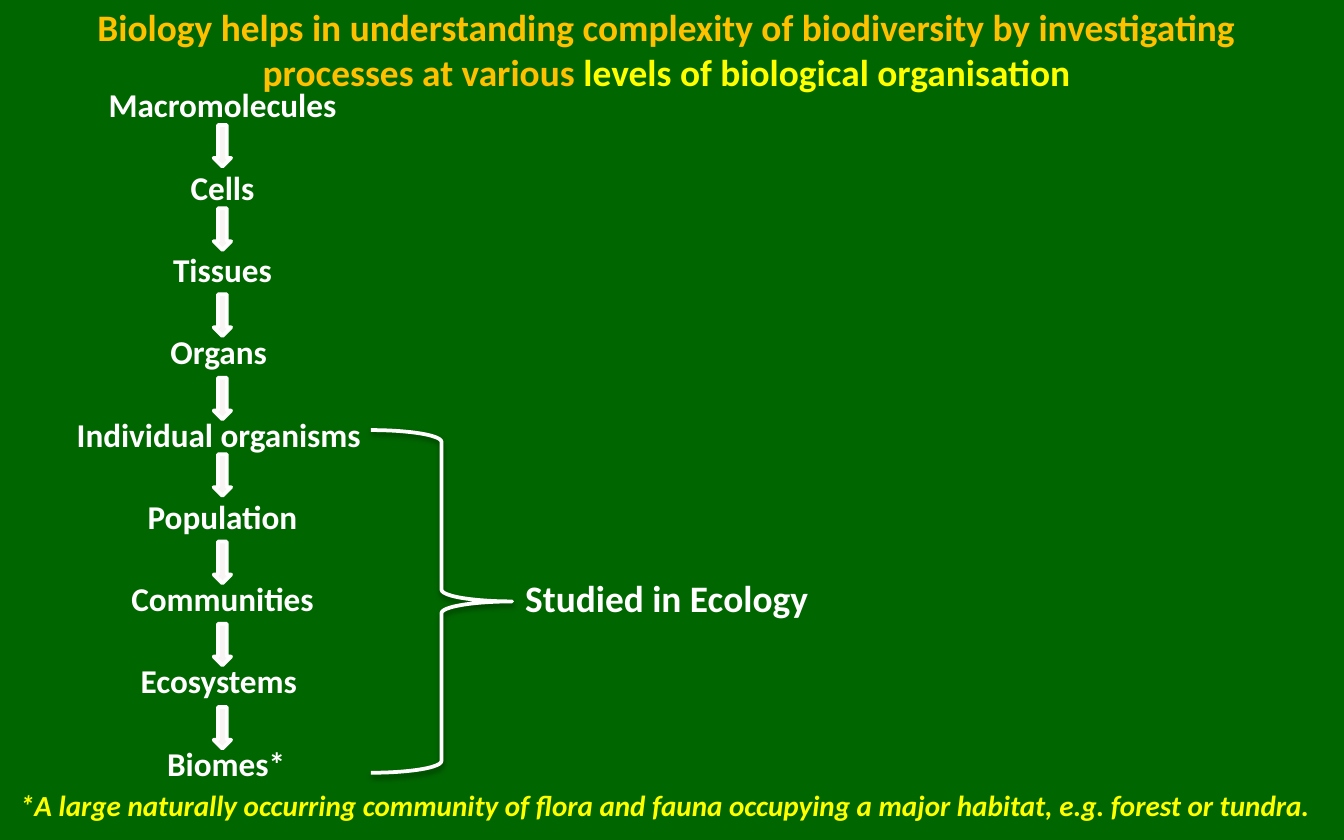
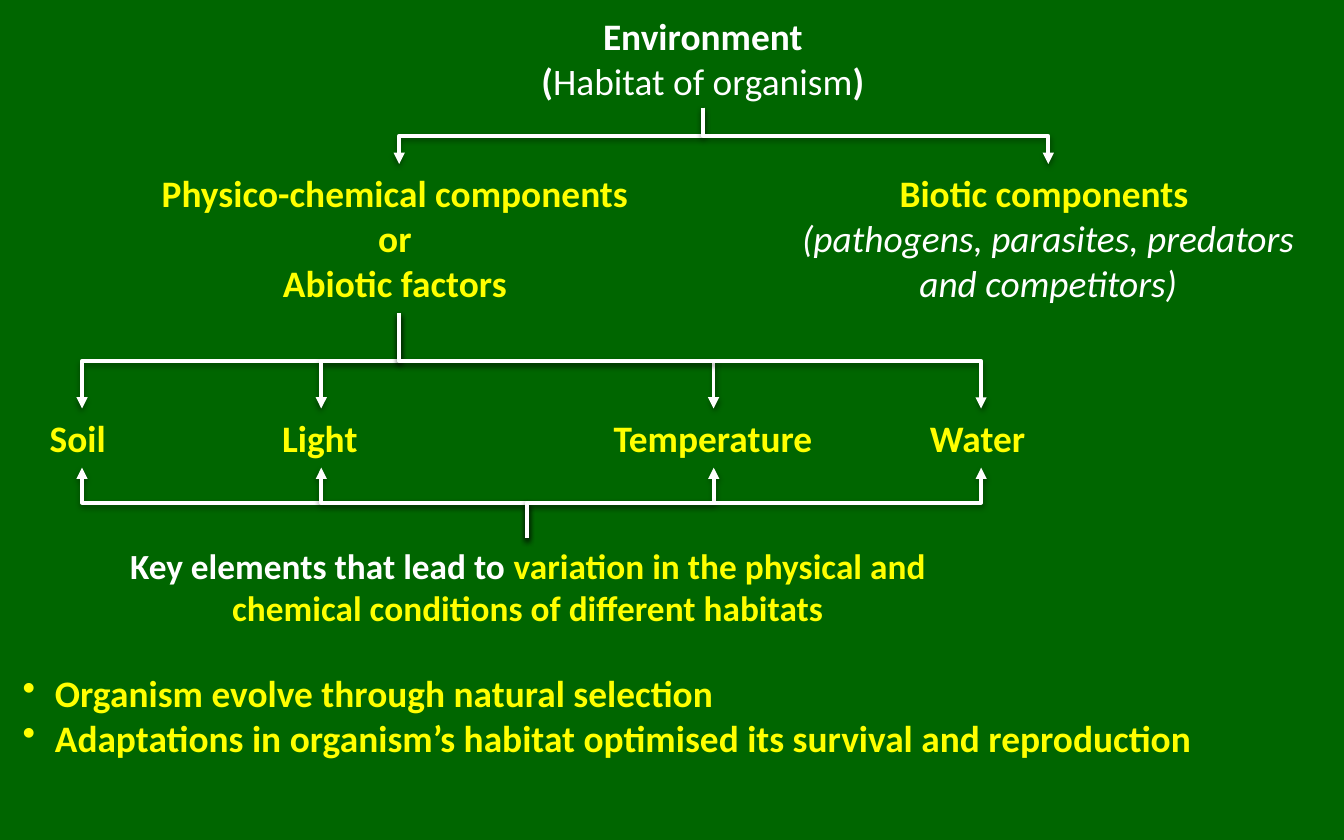
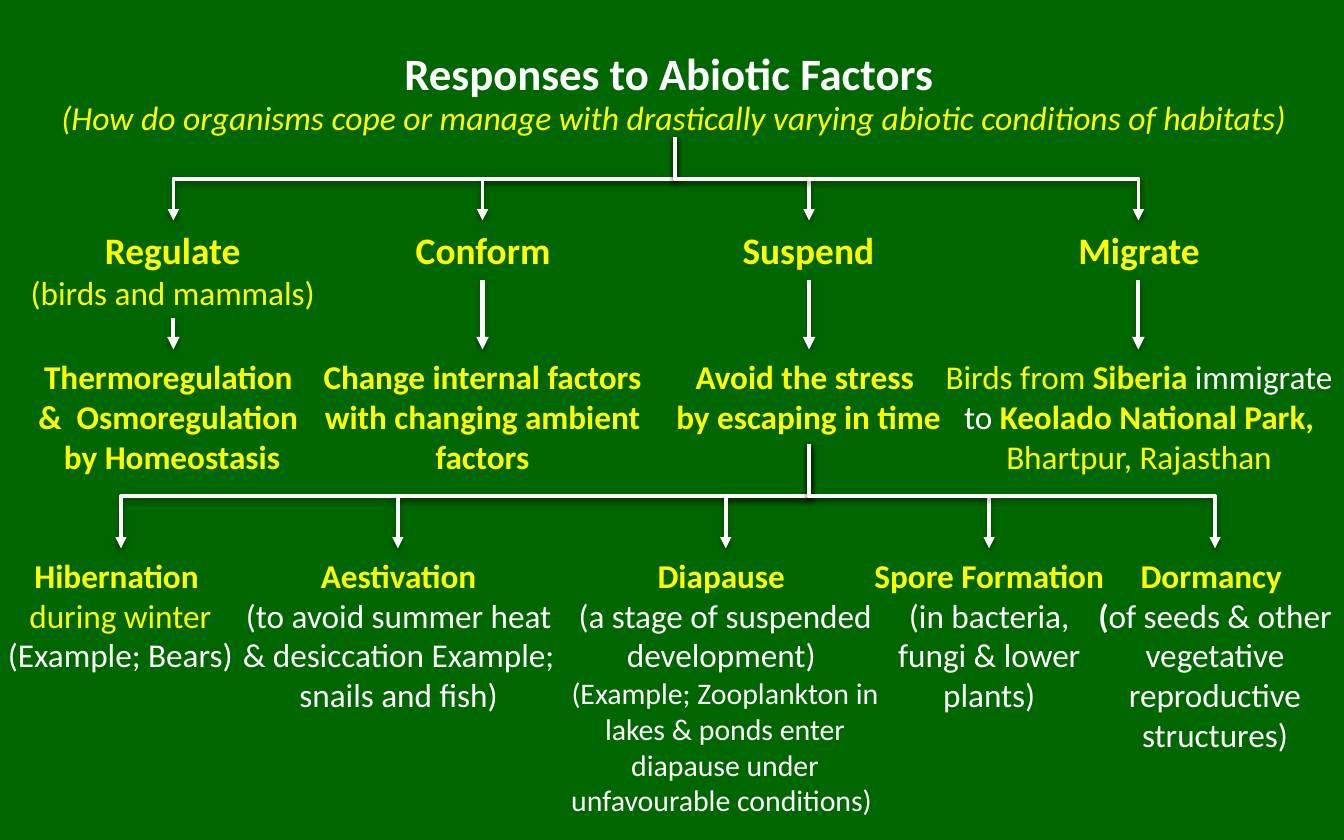
from math import copysign

from lxml import etree
from pptx import Presentation
from pptx.dml.color import RGBColor
from pptx.enum.shapes import MSO_CONNECTOR as Connector, MSO_SHAPE as Shape
from pptx.enum.text import MSO_ANCHOR as Anchor, MSO_AUTO_SIZE as AutoSize, PP_ALIGN as Align
from pptx.oxml.ns import qn
from pptx.util import Inches, Pt

GREEN = RGBColor(0x00, 0x66, 0x00)
WHITE = RGBColor(0xFF, 0xFF, 0xFF)
OFF_WHITE = RGBColor(0xF9, 0xF4, 0xF4)
YELLOW = RGBColor(0xFF, 0xFF, 0x00)
ORANGE = RGBColor(0xFF, 0xC0, 0x00)

# Run formats, laid over the bold yellow default
HEADING = {}
PLAIN = {"bold": False}
WHITE_BOLD = {"color": WHITE}
WHITE_PLAIN = {"color": WHITE, "bold": False}
ITALIC = {"bold": False, "italic": True}
WHITE_ITALIC = {"color": WHITE, "bold": False, "italic": True}


def add_text(slide, box, paragraphs, size=20, align=Align.CENTER, wrap=True,
             anchor=None, bullet=None):
    """Add a text box; each paragraph is a list of (text, format) runs."""
    shape = slide.shapes.add_textbox(*[Inches(length) for length in box])
    frame = shape.text_frame
    frame.word_wrap = wrap
    if anchor is None:
        frame.auto_size = AutoSize.SHAPE_TO_FIT_TEXT
    else:
        frame.vertical_anchor = anchor
    for index, runs in enumerate(paragraphs):
        paragraph = frame.paragraphs[0] if index == 0 else frame.add_paragraph()
        paragraph.alignment = align
        if bullet:
            properties = paragraph._p.get_or_add_pPr()
            properties.set("marL", str(Inches(0.35)))
            properties.set("indent", str(Inches(-0.24)))
            etree.SubElement(properties, qn("a:buChar"), char=bullet)
        for text, changes in runs:
            run = paragraph.add_run()
            run.text = text
            values = {"name": "Calibri", "size": size, "bold": True, "color": YELLOW, **changes}
            run.font.color.rgb = values.pop("color")
            values["size"] = Pt(values["size"])
            for name, value in values.items():
                setattr(run.font, name, value)
    return shape


def style_line(shape, width=2, arrow=True, opacity=38, distance=1.6):
    """Give a white line with a soft shadow, and an arrowhead if asked."""
    shape.line.color.rgb = WHITE
    shape.line.width = Pt(width)
    properties = shape._element.spPr
    if arrow:
        etree.SubElement(properties.find(qn("a:ln")), qn("a:tailEnd"), type="triangle")
    effects = etree.SubElement(properties, qn("a:effectLst"))
    shadow = etree.SubElement(effects, qn("a:outerShdw"), blurRad=str(Pt(3.1)),
                              dist=str(Pt(distance)), dir="5400000", rotWithShape="0")
    color = etree.SubElement(shadow, qn("a:srgbClr"), val="000000")
    etree.SubElement(color, qn("a:alpha"), val=str(opacity * 1000))


presentation = Presentation()
presentation.slide_width = Inches(10)
presentation.slide_height = Inches(6.25)
slides = []
for _ in range(3):
    slide = presentation.slides.add_slide(presentation.slide_layouts[6])
    slide.background.fill.solid()
    slide.background.fill.fore_color.rgb = GREEN
    slides.append(slide)
levels_slide, environment_slide, responses_slide = slides

# Slide 1: levels of biological organisation
add_text(levels_slide, (0.04, 0.06, 9.84, 0.61), [[
    ("Biology helps in understanding complexity of biodiversity by investigating "
     "processes at various ", {"color": ORANGE}),
    ("levels of biological organisation", HEADING)]], anchor=Anchor.MIDDLE)

levels = ["Macromolecules", "Cells", "Tissues", "Organs ", "Individual organisms ",
          "Population", "Communities", "Ecosystems ", " Biomes*"]
for index, level in enumerate(levels):
    add_text(levels_slide, (0.31, 0.58 + 0.6125 * index, 2.69, 0.4),
             [[(level, WHITE_BOLD)]], size=17.8)

for top in (0.93, 1.55, 2.19, 2.81, 3.38, 4.03, 4.64, 5.26):
    arrow = levels_slide.shapes.add_shape(
        Shape.DOWN_ARROW, Inches(1.59), Inches(top), Inches(0.13), Inches(0.31))
    arrow.shadow.inherit = False
    arrow.fill.solid()
    arrow.fill.fore_color.rgb = OFF_WHITE
    arrow.line.color.rgb = WHITE
    arrow.line.width = Pt(2)

add_text(levels_slide, (0.05, 5.81, 10.52, 0.36), [[
    ("*A large naturally occurring community of flora and fauna occupying a major habitat, "
     "e.g. forest or tundra.", {"italic": True})]], size=15.6, align=Align.JUSTIFY)

brace = levels_slide.shapes.add_shape(
    Shape.RIGHT_BRACE, Inches(2.76), Inches(3.2), Inches(1.05), Inches(2.55))
brace.fill.background()
style_line(brace, arrow=False)
add_text(levels_slide, (3.81, 4.23, 2.33, 0.44), [[("Studied in Ecology", WHITE_BOLD)]],
         align=Align.LEFT, wrap=False)

# Slide 2: components of the environment
add_text(environment_slide, (3.65, 0.07, 3.16, 0.73), [
    [("Environment", WHITE_BOLD)],
    [("(", WHITE_BOLD), ("Habitat of organism", WHITE_PLAIN), (")", WHITE_BOLD)],
], anchor=Anchor.MIDDLE)
add_text(environment_slide, (1.09, 1.22, 3.76, 1.11), [
    [("Physico-chemical components ", HEADING)],
    [("or ", HEADING)],
    [("Abiotic factors ", HEADING)]], wrap=False)
add_text(environment_slide, (5.81, 1.22, 3.98, 1.11), [
    [("Biotic components ", HEADING)],
    [("(pathogens, parasites, predators and competitors)", WHITE_ITALIC)]])

for factor, left, width in [("Soil ", 0.05, 1.12), ("Light", 1.85, 1.06),
                            ("Temperature", 4.31, 1.99), ("Water ", 6.31, 1.99)]:
    add_text(environment_slide, (left, 3.04, width, 0.44), [[(factor, HEADING)]])

add_text(environment_slide, (0.55, 4, 6.76, 0.74), [[
    ("Key elements that lead to ", WHITE_BOLD),
    ("variation in the physical and chemical conditions of different habitats", HEADING)]],
    size=18.9)
add_text(environment_slide, (-0.04, 4.94, 9.21, 0.77), [
    [("Organism evolve through natural selection", HEADING)],
    [("Adaptations in organism’s habitat optimised its survival and reproduction", HEADING)],
], align=Align.LEFT, bullet="•")

# Slide 3: responses to abiotic factors
subtitle = add_text(responses_slide, (-0.16, 0.1, 10.35, 0.92), [[
    ("(How do organisms cope or manage with drastically varying abiotic conditions "
     "of habitats)", ITALIC)]], size=18, anchor=Anchor.BOTTOM)
subtitle.text_frame.margin_bottom = 0
add_text(responses_slide, (2.91, 0.29, 4.18, 0.5),
         [[("Responses to Abiotic Factors", WHITE_BOLD)]],
         size=24, align=Align.LEFT, wrap=False)

add_text(responses_slide, (-0.09, 1.64, 2.75, 0.74), [
    [("Regulate", HEADING)],
    [("(birds and mammals)", {"bold": False, "size": 17.8})]])
for response, left in [("Conform", 2.95), ("Suspend", 5.37), ("Migrate", 7.83)]:
    add_text(responses_slide, (left, 1.64, 1.29, 0.44), [[(response, HEADING)]])

# Box, whether it wraps, and paragraphs: strategies, then ways to suspend
details = [
    ((-0.87, 2.6, 4.3, 1), True, [
        [("Thermoregulation ", HEADING)],
        [("&  Osmoregulation ", HEADING)],
        [("by Homeostasis", HEADING)]]),
    ((2.24, 2.6, 2.7, 1), True, [
        [("Change internal factors with changing ambient factors", HEADING)]]),
    ((4.92, 2.6, 2.19, 0.7), False, [
        [("Avoid the stress ", HEADING)],
        [("by escaping in time", HEADING)]]),
    ((6.81, 2.6, 3.33, 1), True, [
        [("Birds from ", PLAIN), ("Siberia ", HEADING), ("immigrate to ", WHITE_PLAIN),
         ("Keolado National Park, ", HEADING), ("Bhartpur, Rajasthan", PLAIN)]]),
    ((-0.05, 4.08, 1.89, 1), False, [
        [("Hibernation ", HEADING)],
        [("during winter", PLAIN)],
        [("(Example; Bears)", WHITE_PLAIN)]]),
    ((1.62, 4.08, 2.69, 1.3), True, [
        [("Aestivation", HEADING)],
        [("(to avoid summer heat & desiccation Example; snails and fish)", WHITE_PLAIN)]]),
    ((4.13, 4.08, 2.53, 2.08), True, [
        [("Diapause ", HEADING)],
        [("(a stage of suspended development) ", WHITE_PLAIN)],
        [("(Example; Zooplankton in lakes & ponds enter diapause under "
          "unfavourable conditions) ", {**WHITE_PLAIN, "size": 16})]]),
    ((6.39, 4.08, 1.94, 1.3), True, [
        [("Spore Formation ", HEADING)],
        [("(in bacteria, fungi & lower plants)", WHITE_PLAIN)]]),
    ((8.07, 4.08, 1.94, 1.6), True, [
        [("Dormancy ", HEADING)],
        [("(", WHITE_BOLD),
         ("of seeds & other vegetative reproductive structures)", WHITE_PLAIN)]]),
]
for box, wrap, paragraphs in details:
    add_text(responses_slide, box, paragraphs, size=17.8, wrap=wrap)

for x, top in [(1.29, 2.37), (3.59, 2.08), (6.02, 2.08), (8.47, 2.08)]:
    arrow = responses_slide.shapes.add_connector(
        Connector.STRAIGHT, Inches(x), Inches(top), Inches(x), Inches(2.6))
    style_line(arrow, width=2.25, opacity=35, distance=1.8)

# Branching arrows: slide, start point, end height, end positions
branches = [
    (environment_slide, (5.23, 0.8), 1.22, (2.97, 7.8)),
    (environment_slide, (2.97, 2.33), 3.04, (0.61, 2.39, 5.31, 7.3)),
    (environment_slide, (3.92, 4), 3.48, (0.61, 2.39, 5.31, 7.3)),
    (responses_slide, (5.02, 1.02), 1.64, (1.29, 3.59, 6.02, 8.47)),
    (responses_slide, (6.02, 3.3), 4.08, (0.9, 2.96, 5.4, 7.36, 9.04)),
]
for slide, (start_x, start_y), end_y, ends in branches:
    for end_x in ends:
        # An elbow leaves sideways, so lay it on its side and turn it upright
        run_x, run_y = end_x - start_x, end_y - start_y
        middle_x, middle_y = (start_x + end_x) / 2, (start_y + end_y) / 2
        half_x, half_y = copysign(run_y / 2, run_x), copysign(run_x / 2, run_y)
        elbow = slide.shapes.add_connector(
            Connector.ELBOW, Inches(middle_x + half_x), Inches(middle_y - half_y),
            Inches(middle_x - half_x), Inches(middle_y + half_y))
        angle = 90 if run_x * run_y < 0 else 270
        elbow._element.spPr.find(qn("a:xfrm")).set("rot", str(angle * 60000))
        style_line(elbow)

presentation.save("out.pptx")
